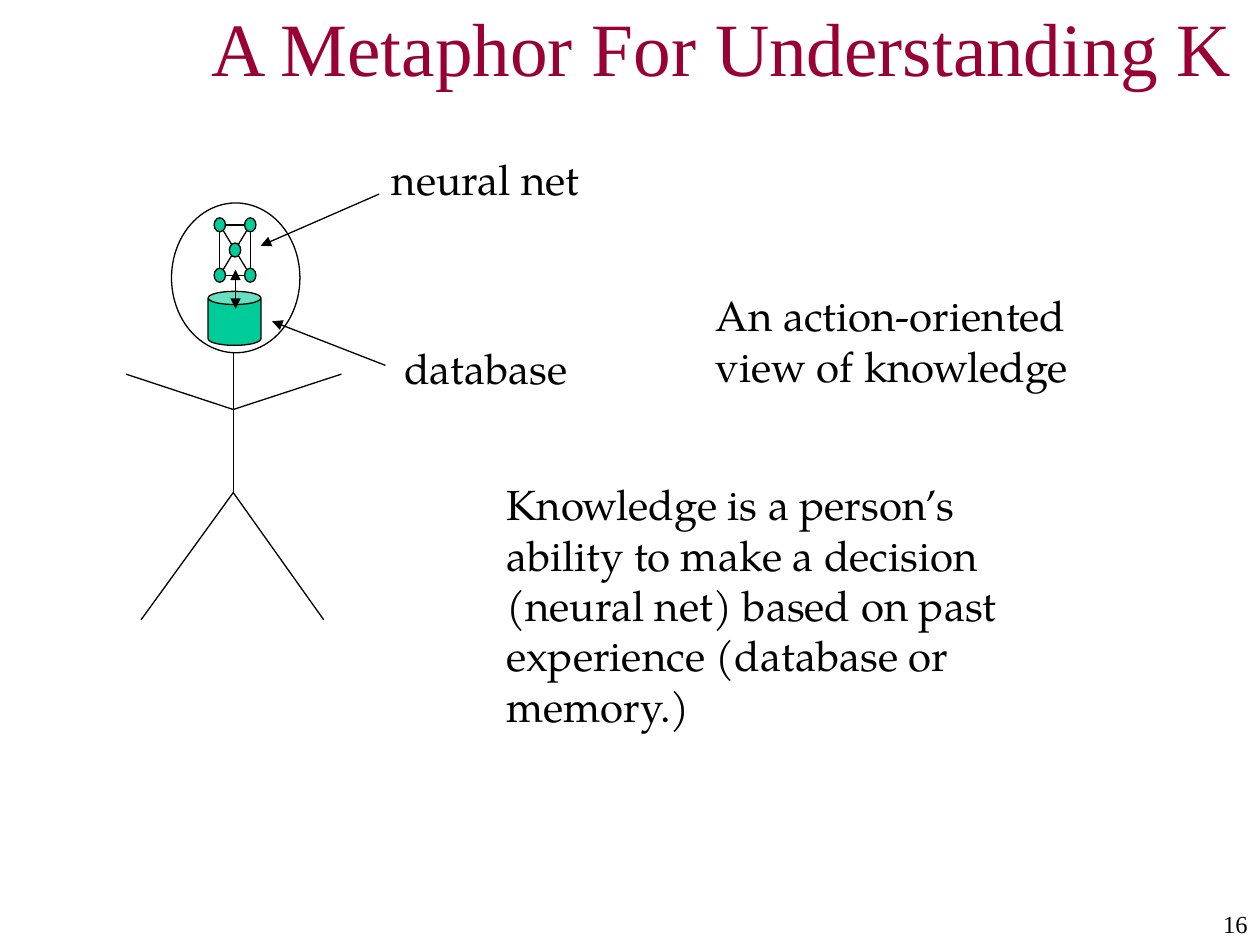
from dataclasses import dataclass
from math import hypot

from lxml.etree import SubElement
from pptx import Presentation
from pptx.dml.color import RGBColor
from pptx.enum.shapes import MSO_CONNECTOR as Conn, MSO_SHAPE as Shape
from pptx.enum.text import MSO_ANCHOR as Anchor, MSO_AUTO_SIZE as Auto, PP_ALIGN as Align
from pptx.oxml.ns import qn
from pptx.util import Pt

COLORS = {"title": "990033", "ink": "000000", "mind": "00CC99"}
SERIF, BODY = "Times New Roman", "TeX Gyre Pagella"
NODE_W, NODE_H = 6.5, 8

Point = tuple[float, float]


@dataclass
class Label:
    text: str
    left: float
    top: float
    width: float
    height: float
    wrap: bool = True
    font: str = BODY
    size: float = 24
    align: Align = Align.LEFT


@dataclass
class Line:
    start: Point
    end: Point
    head: bool = False
    tail: bool = False


def rgb(name: str) -> RGBColor:
    return RGBColor.from_string(COLORS[name])


def style_text(tf, text: str, font: str, size: float, color: str, align: Align) -> None:
    tf.margin_left = tf.margin_right = Pt(7.2)
    tf.margin_top = tf.margin_bottom = Pt(3.6)
    tf.text = text
    p = tf.paragraphs[0]
    p.alignment = align
    p.space_before = Pt(0)
    r = p.runs[0]
    r.font.name, r.font.size = font, Pt(size)
    r.font.color.rgb = rgb(color)


def add_label(shapes, label: Label) -> None:
    s = shapes.add_textbox(Pt(label.left), Pt(label.top), Pt(label.width), Pt(label.height))
    tf = s.text_frame
    tf.word_wrap = label.wrap
    style_text(tf, label.text, label.font, label.size, "ink", label.align)


def add_line(shapes, line: Line) -> None:
    s = shapes.add_connector(Conn.STRAIGHT, *map(Pt, line.start + line.end))
    s.line.color.rgb, s.line.width = rgb("ink"), Pt(0.75)
    ln = s.line._get_or_add_ln()
    for tag, wanted in (("a:headEnd", line.head), ("a:tailEnd", line.tail)):
        if wanted:
            SubElement(ln, qn(tag), type="triangle")
    SubElement(s._element.spPr, qn("a:effectLst"))


def add_outline(shapes, kind: Shape, left: float, top: float, width: float, height: float,
                fill: str | None = None):
    s = shapes.add_shape(kind, Pt(left), Pt(top), Pt(width), Pt(height))
    s.shadow.inherit = False
    s.line.color.rgb, s.line.width = rgb("ink"), Pt(0.75)
    if fill:
        s.fill.solid()
        s.fill.fore_color.rgb = rgb(fill)
    else:
        s.fill.background()
    return s


def rim(center: Point, toward: Point) -> Point:
    """Where the line from a node's centre toward a point leaves the node."""
    dx, dy = toward[0] - center[0], toward[1] - center[1]
    t = 1 / hypot(dx / (NODE_W / 2), dy / (NODE_H / 2))
    return center[0] + t * dx, center[1] + t * dy


# Five nodes of the net: four corners around a hub
HUB = (134.3, 142.9)
CORNERS = [(HUB[0] + dx, HUB[1] + dy) for dx, dy in
           ((-8.7, -14.4), (8.7, -14.4), (8.7, 14.4), (-8.7, 14.4))]
EDGES = list(zip(CORNERS, CORNERS[1:] + CORNERS[:1])) + [(HUB, c) for c in CORNERS]

# Stick figure joints
NECK, SHOULDER, HIP = (133.3, 201.6), (133.3, 234), (133.3, 281.5)
LIMBS = [
    Line(NECK, HIP),
    Line(SHOULDER, (195.1, 213.8)), Line(SHOULDER, (72, 213.8)),
    Line(HIP, (185, 354.2)), Line(HIP, (80.6, 354.2)),
]

POINTERS = [
    Line((216.7, 110.9), (149, 140.4), tail=True),
    Line((220.3, 208.8), (155.5, 183.6), tail=True),
]

LABELS = [
    Label("database", 223.9, 192.2, 116.6, 36, wrap=False),
    Label("neural net", 216.7, 84.2, 133.2, 36, wrap=False),
    Label("Knowledge is a person’s ability to make a decision (neural net) "
          "based on past experience (database or memory.)", 282.2, 270, 324, 151.2),
    Label("An action-oriented view of knowledge", 401.8, 162, 252, 64.8),
    Label("16", 617.8, 516.2, 102.2, 23.8, font=SERIF, size=14, align=Align.RIGHT),
]


def add_person(slide) -> None:
    shapes = slide.shapes.add_group_shape().shapes
    # Head and body
    add_outline(shapes, Shape.OVAL, 98, 116, 73.4, 85.6)
    for limb in LIMBS:
        add_line(shapes, limb)
    # Database
    can = add_outline(shapes, Shape.CAN, 118.9, 166.5, 30.2, 30.9, "mind")
    can.adjustments[0] = 0.25
    # Neural net
    for x, y in CORNERS + [HUB]:
        add_outline(shapes, Shape.OVAL, x - NODE_W / 2, y - NODE_H / 2, NODE_W, NODE_H, "mind")
    for a, b in EDGES:
        add_line(shapes, Line(rim(a, b), rim(b, a)))
    # Exchange between net and database
    add_line(shapes, Line((134.6, 154.1), (134.6, 176.4), head=True, tail=True))


def main() -> None:
    prs = Presentation()
    prs.slide_width, prs.slide_height = Pt(720), Pt(540)
    slide = prs.slides.add_slide(prs.slide_layouts[5])

    # Title
    title = slide.shapes.title
    title.left, title.top, title.width, title.height = map(Pt, (113.8, 5.8, 606.2, 41.8))
    tf = title.text_frame
    tf.auto_size, tf.vertical_anchor = Auto.NONE, Anchor.MIDDLE
    style_text(tf, "A Metaphor For Understanding K", SERIF, 43, "title", Align.LEFT)

    # Figure, labels and pointers
    add_person(slide)
    for label in LABELS:
        add_label(slide.shapes, label)
    for pointer in POINTERS:
        add_line(slide.shapes, pointer)

    prs.save("out.pptx")


if __name__ == "__main__":
    main()
